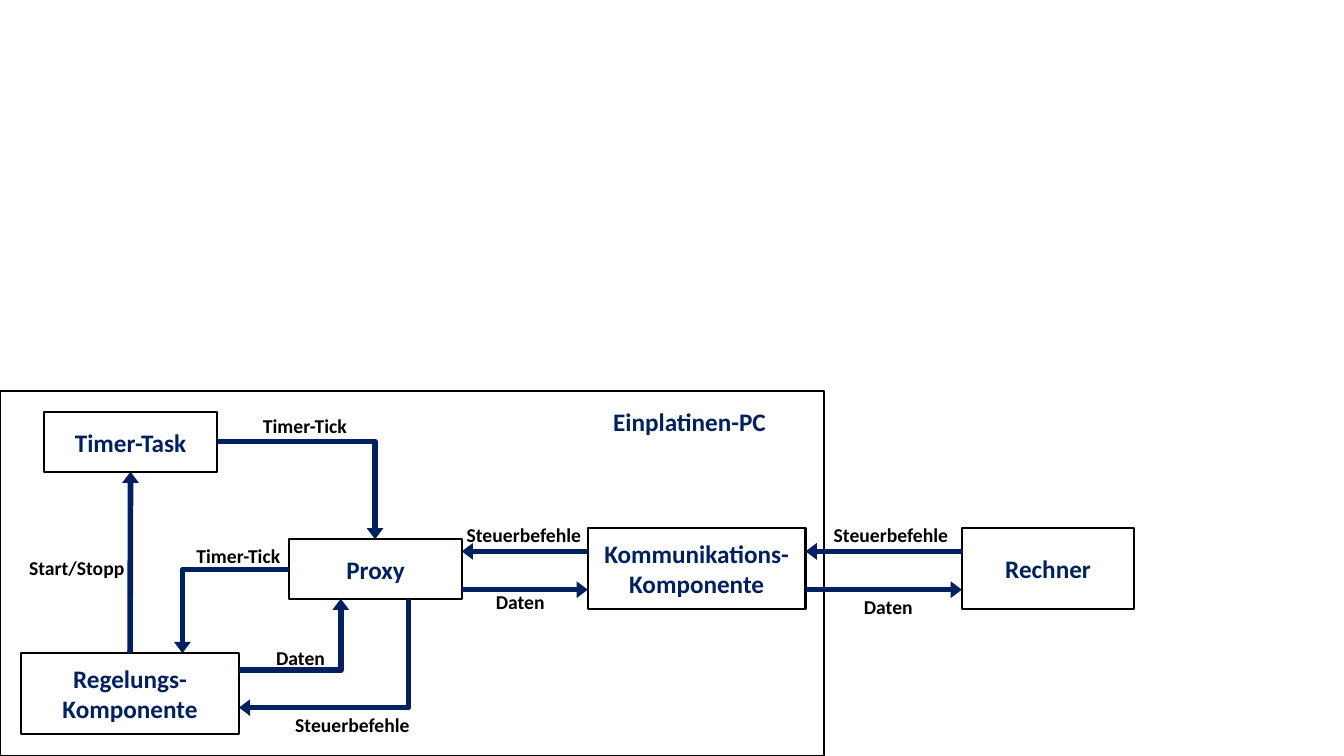
from dataclasses import dataclass

from lxml import etree
from pptx import Presentation
from pptx import util as u
from pptx.dml.color import RGBColor
from pptx.enum import shapes, text
from pptx.oxml import ns


@dataclass(frozen=True)
class Theme:
    """Holds the colours, font and sizes of the slide."""
    navy: RGBColor = RGBColor.from_string("002060")
    black: RGBColor = RGBColor.from_string("000000")
    white: RGBColor = RGBColor.from_string("FFFFFF")
    font: str = "Calibri"
    title: int = 18
    note: int = 14
    edge: float = 1.5
    arrow: int = 4


THEME = Theme()
LEFT = text.PP_ALIGN.LEFT
MID = text.PP_ALIGN.CENTER


def apply(item, **values):
    """Set every given attribute on the item."""
    for name, value in values.items():
        setattr(item, name, value)


def write(shape, words, size, color, align):
    """Put one bold line of words into the shape."""
    para = shape.text_frame.paragraphs[0]
    para.alignment = align
    run = para.add_run()
    run.text = words
    apply(run.font, name=THEME.font, size=u.Pt(size), bold=True)
    run.font.color.rgb = color


def card(slide, box, words=""):
    """Draw a white box with a black edge and a centred title."""
    shape = slide.shapes.add_shape(
        shapes.MSO_SHAPE.RECTANGLE, *map(u.Inches, box))
    shape.shadow.inherit = False
    shape.fill.solid()
    shape.fill.fore_color.rgb = THEME.white
    shape.line.color.rgb = THEME.black
    shape.line.width = u.Pt(THEME.edge)
    if words:
        apply(shape.text_frame, word_wrap=True,
              vertical_anchor=text.MSO_ANCHOR.MIDDLE)
        write(shape, words, THEME.title, THEME.navy, MID)
    return shape


def label(slide, box, words, size=THEME.note, color=THEME.black, align=LEFT):
    """Draw a bold text without a frame."""
    shape = slide.shapes.add_textbox(*map(u.Inches, box))
    shape.text_frame.word_wrap = True
    write(shape, words, size, color, align)


def arrow(slide, start, end, tip="tailEnd", bent=False):
    """Draw an arrow, straight or running across and then up or down."""
    kind = shapes.MSO_CONNECTOR.ELBOW if bent else shapes.MSO_CONNECTOR.STRAIGHT
    line = slide.shapes.add_connector(kind, *map(u.Inches, (*start, *end)))
    line.line.color.rgb = THEME.navy
    line.line.width = u.Pt(THEME.arrow)
    props = line._element.spPr
    etree.SubElement(props, ns.qn("a:effectLst"))
    etree.SubElement(props.find(ns.qn("a:ln")), ns.qn(f"a:{tip}"),
                     type="triangle", w="med", len="sm")
    if bent:
        guides = props.find(ns.qn("a:prstGeom")).find(ns.qn("a:avLst"))
        etree.SubElement(guides, ns.qn("a:gd"), name="adj1", fmla="val 100000")
    return line


def link(slide, box, order, data):
    """Draw commands running left above data running right."""
    x, y, width, height = box
    arrow(slide, (x, y), (x + width, y), "headEnd")
    arrow(slide, (x, y + height), (x + width, y + height))
    label(slide, (x + order, y - 0.33, 1.45, 0.34), "Steuerbefehle")
    label(slide, (x + data[0], y + data[1], 0.72, 0.34), "Daten", align=MID)


def board(slide, box):
    """Draw the board with its four parts and their messages."""
    x, y, width, height = box
    card(slide, box)
    label(slide, (x + 5.76, y + 0.1, 2.16, 0.4), "Einplatinen-PC",
          THEME.title, THEME.navy, MID)
    card(slide, (x + 2.87, y + 1.47, 1.71, 0.59), "Proxy")
    timer = card(slide, (x + 0.44, y + 0.21, 1.71, 0.59), "Timer-Task")
    control = card(slide, (x + 0.21, y + 2.6, 2.16, 0.8), "Regelungs-Komponente")
    card(slide, (x + 5.83, y + 1.36, 2.16, 0.8), "Kommunikations-Komponente")

    start = arrow(slide, (x + 1.29, y + 2.6), (x + 1.29, y + 0.8))
    start.begin_connect(control, 0)
    start.end_connect(timer, 2)
    for x1, y1, x2, y2, tip in (
            (2.15, 0.5, 3.72, 1.47, "tailEnd"),
            (2.87, 1.77, 1.81, 2.6, "tailEnd"),
            (2.37, 2.77, 3.38, 2.06, "tailEnd"),
            (2.37, 3.14, 4.05, 2.06, "headEnd")):
        arrow(slide, (x + x1, y + y1), (x + x2, y + y2), tip, True)
    for dx, dy, words in (
            (0.19, 1.59, "Start/Stopp"),
            (2.51, 0.18, "Timer-Tick"),
            (1.85, 1.47, "Timer-Tick"),
            (2.64, 2.48, "Daten"),
            (2.83, 3.14, "Steuerbefehle")):
        label(slide, (x + dx, y + dy, 1.4, 0.34), words)
    link(slide, (x + 4.58, y + 1.59, 1.25, 0.38), -0.05, (0.22, 0.33))


def host(slide, box):
    """Draw the outer program and its link to the board."""
    x, y, width, height = box
    card(slide, (x + width - 1.71, y, 1.71, height), "Rechner")
    link(slide, (x, y + 0.23, width - 1.71, 0.38), 0.18, (0.46, 0.38))


def main():
    """Build the slide and save it."""
    deck = Presentation()
    apply(deck, slide_width=u.Inches(13.33), slide_height=u.Inches(7.5))
    slide = deck.slides.add_slide(deck.slide_layouts[6])
    board(slide, (0, 3.88, 8.17, 3.62))
    host(slide, (7.99, 5.24, 3.26, 0.8))
    deck.save("out.pptx")


if __name__ == "__main__":
    main()
